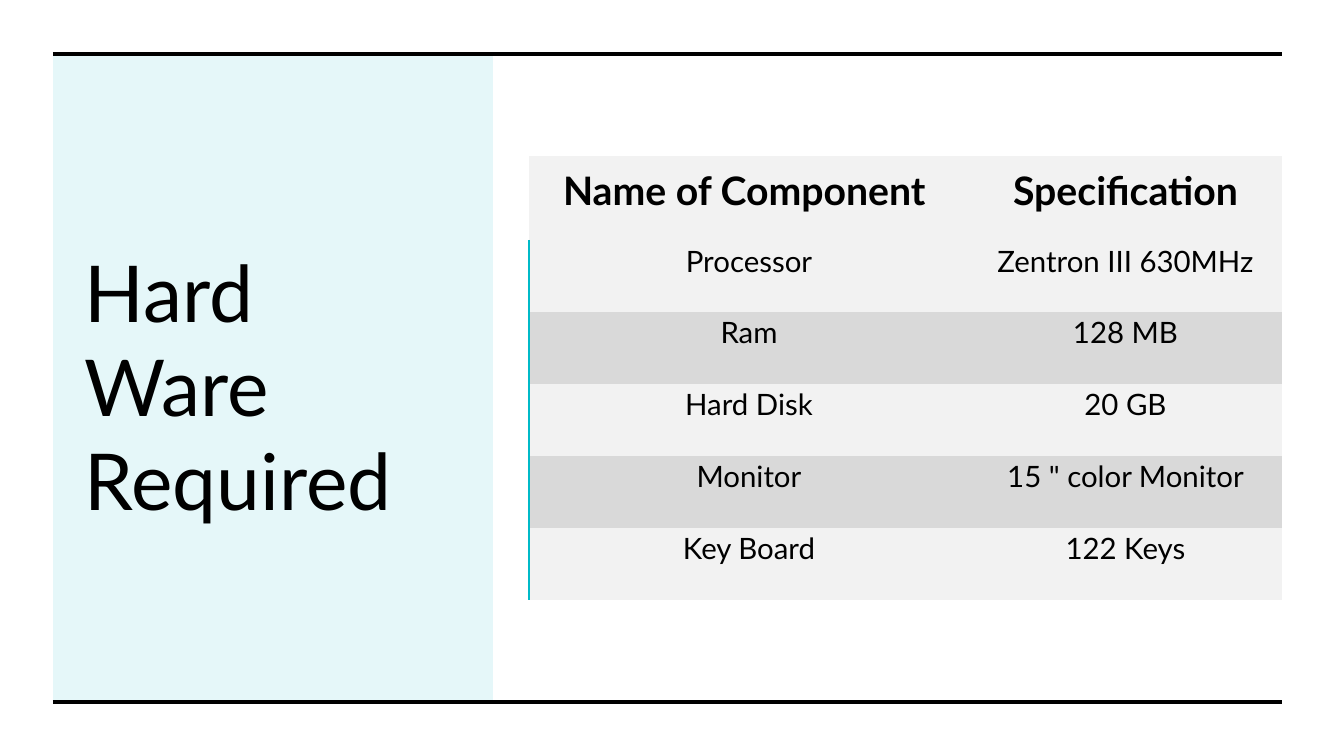
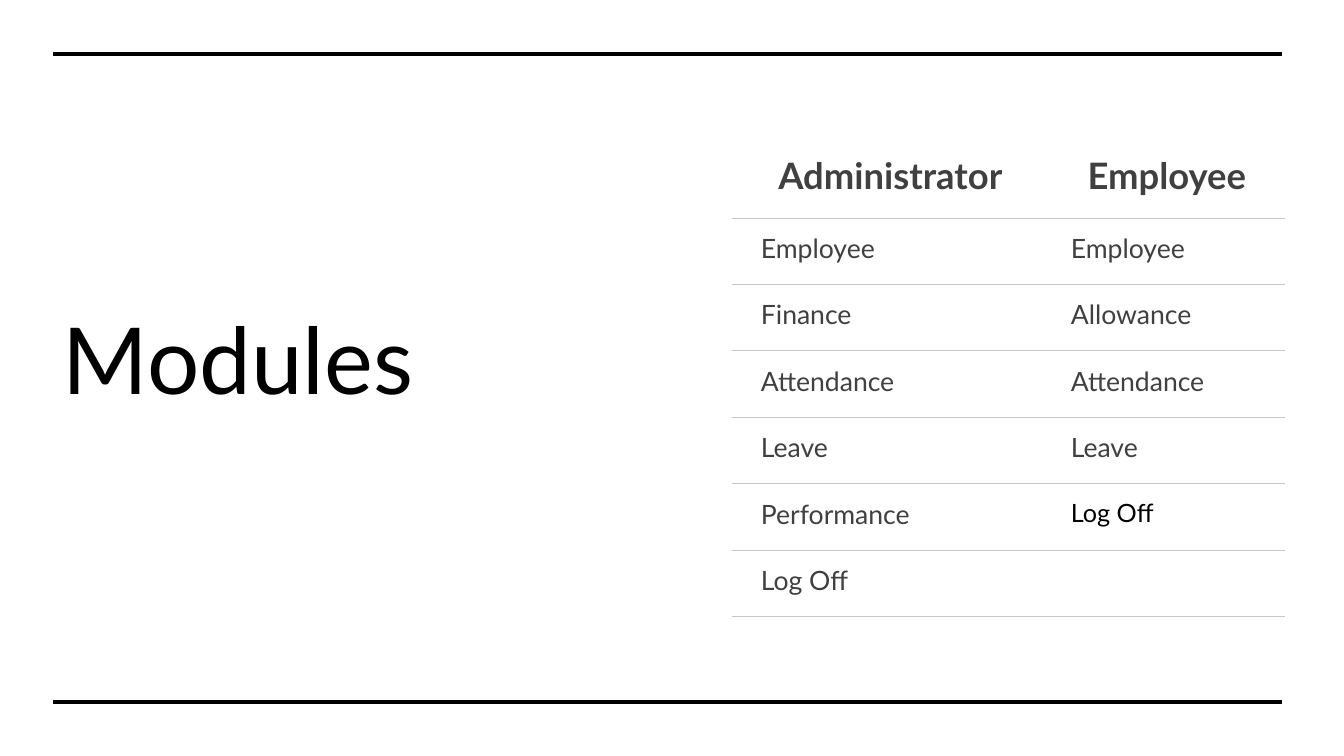
from dataclasses import dataclass, field

from lxml.etree import SubElement
from pptx import Presentation
from pptx.dml.color import RGBColor
from pptx.enum.shapes import MSO_CONNECTOR, MSO_SHAPE
from pptx.enum.text import MSO_ANCHOR, PP_ALIGN
from pptx.oxml.ns import qn
from pptx.slide import Slide
from pptx.table import _Cell
from pptx.text.text import TextFrame
from pptx.util import Emu, Pt


@dataclass(frozen=True)
class Theme:
    font: str = "Lato"
    black: str = "000000"
    gray: str = "404040"
    teal: str = "00BAC8"
    pale: str = "F2F2F2"
    band: str = "D9D9D9"
    hair: str = "C7C6C1"
    rule: float = 2.25


@dataclass(frozen=True)
class Box:
    left: int
    top: int
    wide: int
    high: int


@dataclass(frozen=True)
class Title:
    text: str
    box: Box
    size: int
    anchor: MSO_ANCHOR
    pad: tuple[int, ...] = (10, 5, 10, 5)


@dataclass(frozen=True)
class Grid:
    box: Box
    cols: tuple[int, ...]
    head: int
    rows: list[tuple[str, ...]]
    pad: tuple[int, ...]
    sizes: tuple[int, int]
    color: str
    align: PP_ALIGN
    anchor: MSO_ANCHOR = MSO_ANCHOR.TOP
    fills: tuple[str, ...] = ()
    edge: str = ""  # left line of the body rows
    line: str = ""  # line under every row
    marks: dict[tuple[int, int], tuple[int, str]] = field(default_factory=dict)


THEME = Theme()
SCALE = 914400 / 100.8  # EMU in one px
WIDE, HIGH = 1344, 756
LEFT, RIGHT = 53, 1282
RULES = (54, 702)


def px(n: float) -> Emu:
    return Emu(round(n * SCALE))


def place(box: Box) -> tuple[Emu, ...]:
    return px(box.left), px(box.top), px(box.wide), px(box.high)


def rgb(code: str) -> RGBColor:
    return RGBColor.from_string(code)


def write(frame: TextFrame, text: str, *, size: int, color: str = THEME.black,
          bold: bool = False, align: PP_ALIGN = PP_ALIGN.LEFT) -> None:
    part = frame.paragraphs[0]
    part.alignment = align
    run = part.add_run()
    run.text = text
    font = run.font
    font.name, font.size, font.bold = THEME.font, Pt(size), bold
    font.color.rgb = rgb(color)


def pad(item: TextFrame | _Cell, sides: tuple[int, ...]) -> None:
    (item.margin_left, item.margin_top,
     item.margin_right, item.margin_bottom) = map(px, sides)


def border(cell: _Cell, lines: dict[str, tuple[str, float]]) -> None:
    props = cell._tc.get_or_add_tcPr()
    for side in "LRTB":
        edge = SubElement(props, qn(f"a:ln{side}"))
        if side in lines:
            color, width = lines[side]
            edge.set("w", str(Pt(width)))
            fill = SubElement(edge, qn("a:solidFill"))
            SubElement(fill, qn("a:srgbClr"), val=color)
        else:
            SubElement(edge, qn("a:noFill"))


def panel(slide: Slide, box: Box, color: str, alpha: int) -> None:
    shape = slide.shapes.add_shape(MSO_SHAPE.RECTANGLE, *place(box))
    shape.shadow.inherit = False
    shape.line.fill.background()
    shape.fill.solid()
    shape.fill.fore_color.rgb = rgb(color)
    tint = shape._element.spPr.find(f".//{qn('a:srgbClr')}")
    SubElement(tint, qn("a:alpha"), val=str(alpha * 1000))


def frame(slide: Slide, title: Title) -> None:
    # Title
    body = slide.shapes.add_textbox(*place(title.box)).text_frame
    body.word_wrap = True
    body.vertical_anchor = title.anchor
    pad(body, title.pad)
    write(body, title.text, size=title.size)
    # Top and bottom rules
    for y in RULES:
        rule = slide.shapes.add_connector(
            MSO_CONNECTOR.STRAIGHT, px(LEFT), px(y), px(RIGHT), px(y))
        rule.line.color.rgb = rgb(THEME.black)
        rule.line.width = Pt(THEME.rule)
        SubElement(rule._element.spPr, qn("a:effectLst"))


def table(slide: Slide, grid: Grid) -> None:
    count = len(grid.rows)
    sheet = slide.shapes.add_table(count, len(grid.cols), *place(grid.box)).table
    sheet.first_row = sheet.horz_banding = False
    for col, wide in zip(sheet.columns, grid.cols):
        col.width = px(wide)
    body = (grid.box.high - grid.head) / (count - 1)
    for r, texts in enumerate(grid.rows):
        head = r == 0
        sheet.rows[r].height = px(grid.head if head else body)
        for c, text in enumerate(texts):
            cell = sheet.cell(r, c)
            pad(cell, grid.pad)
            cell.vertical_anchor = grid.anchor if head else MSO_ANCHOR.TOP
            # Borders
            lines = {}
            if grid.edge and c == 0 and not head:
                lines["L"] = (grid.edge, 1)
            if grid.line:
                for side in "B" if head else "TB":
                    lines[side] = (grid.line, 0.75)
            border(cell, lines)
            # Fill: the header shares the first body row's shade
            if grid.fills:
                cell.fill.solid()
                shade = grid.fills[max(r - 1, 0) % len(grid.fills)]
                cell.fill.fore_color.rgb = rgb(shade)
            else:
                cell.fill.background()
            # Text
            if text:
                size, color = grid.marks.get(
                    (r, c), (grid.sizes[0 if head else 1], grid.color))
                write(cell.text_frame, text, size=size, color=color, bold=head,
                      align=PP_ALIGN.CENTER if head else grid.align)


HARD = Grid(
    Box(529, 156, 753, 444), cols=(445, 308), head=84,
    rows=[
        ("Name of Component ", "Specification"),
        ("Processor", "Zentron III 630MHz"),
        ("Ram", "128 MB"),
        ("Hard Disk", "20 GB"),
        ("Monitor", '15 " color Monitor'),
        ("Key Board", "122 Keys"),
    ],
    pad=(12, 3, 17, 26), sizes=(28, 21), color=THEME.black,
    align=PP_ALIGN.CENTER, anchor=MSO_ANCHOR.BOTTOM,
    fills=(THEME.pale, THEME.band), edge=THEME.teal,
)

PARTS = Grid(
    Box(732, 140, 553, 477), cols=(310, 243), head=78,
    rows=[
        ("Administrator", "Employee"),
        ("Employee", "Employee"),
        ("Finance", "Allowance"),
        ("Attendance ", "Attendance"),
        ("Leave", "Leave"),
        ("Performance", "Log Off"),
        ("Log Off", ""),
    ],
    pad=(29, 14, 22, 14), sizes=(26, 19), color=THEME.gray,
    align=PP_ALIGN.LEFT, line=THEME.hair,
    marks={(5, 1): (18, THEME.black)},
)


def main() -> None:
    deck = Presentation()
    deck.slide_width, deck.slide_height = px(WIDE), px(HIGH)
    blank = deck.slide_layouts[6]

    # Hardware
    slide = deck.slides.add_slide(blank)
    panel(slide, Box(LEFT, RULES[0], 440, 646), THEME.teal, 10)
    frame(slide, Title("Hard Ware Required", Box(75, 108, 392, 554), 56,
                       MSO_ANCHOR.MIDDLE, pad=(10, 5, 50, 5)))
    table(slide, HARD)

    # Modules
    slide = deck.slides.add_slide(blank)
    frame(slide, Title("Modules", Box(LEFT, 78, 619, 340), 66,
                       MSO_ANCHOR.BOTTOM))
    table(slide, PARTS)

    deck.save("out.pptx")


if __name__ == "__main__":
    main()
